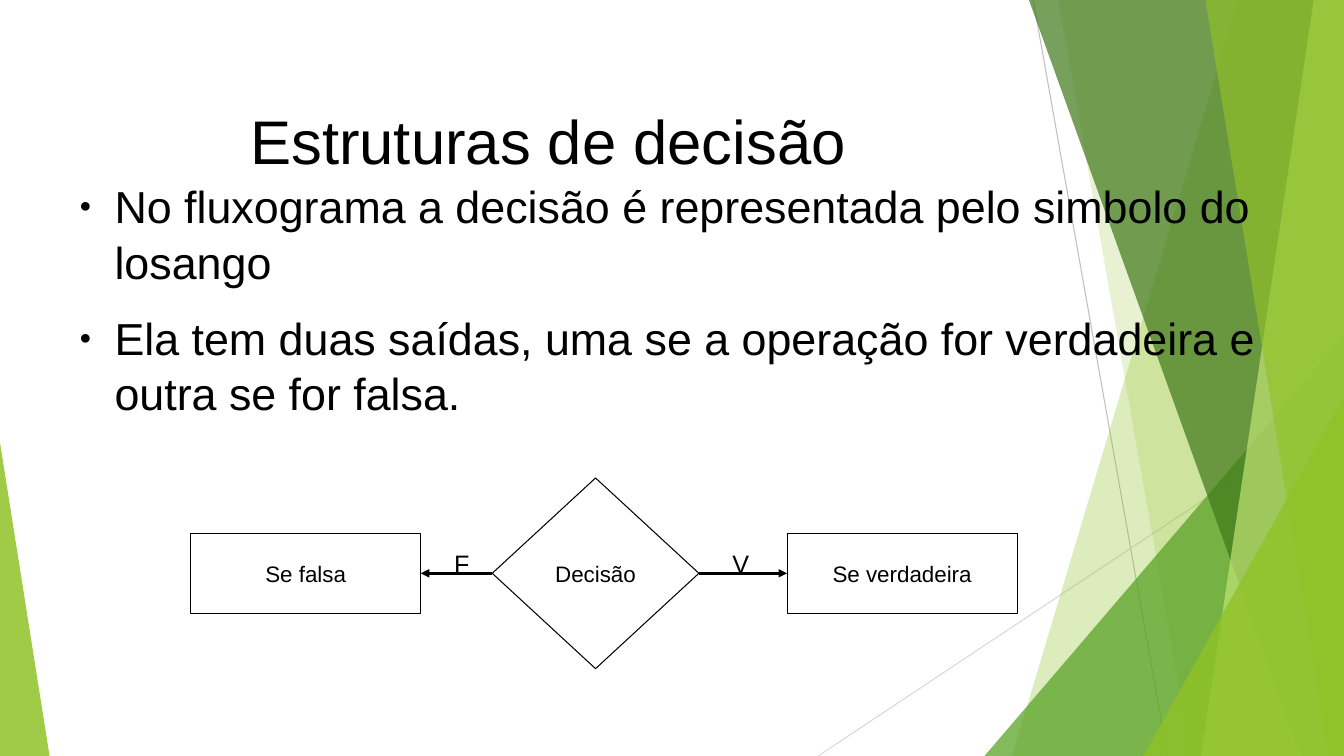
from lxml import etree
from pptx import Presentation
from pptx.dml.color import RGBColor
from pptx.enum.shapes import MSO_CONNECTOR, MSO_SHAPE
from pptx.enum.text import MSO_ANCHOR, MSO_AUTO_SIZE, PP_ALIGN
from pptx.oxml.ns import qn
from pptx.util import Emu, Inches, Pt

STRAIGHT = MSO_CONNECTOR.STRAIGHT
DECISION, PROCESS = MSO_SHAPE.FLOWCHART_DECISION, MSO_SHAPE.FLOWCHART_PROCESS
TOP, MIDDLE = MSO_ANCHOR.TOP, MSO_ANCHOR.MIDDLE
LEFT, CENTER = PP_ALIGN.LEFT, PP_ALIGN.CENTER
NO_FIT = MSO_AUTO_SIZE.NONE

BLACK = RGBColor(0x00, 0x00, 0x00)
WHITE = RGBColor(0xFF, 0xFF, 0xFF)
GRAY = RGBColor(0xBF, 0xBF, 0xBF)
LIGHT_GRAY = RGBColor(0xD9, 0xD9, 0xD9)
LIME = RGBColor(0x90, 0xC2, 0x26)
GREEN = RGBColor(0x54, 0xA0, 0x21)
DARK_GREEN = RGBColor(0x3F, 0x78, 0x19)
PALE_GREEN = RGBColor(0xC0, 0xE4, 0x74)

COLS, ROWS = 16, 9
LEFT_SITE, RIGHT_SITE = 1, 3


class FlowSlide:
    """Draws one slide on a 16 by 9 grid in a single style."""

    font = "Arial"

    def __init__(self, prs):
        self.cell = prs.slide_width / COLS
        self.shapes = prs.slides.add_slide(prs.slide_layouts[6]).shapes

    def grid(self, *lengths):
        return [Emu(round(n * self.cell)) for n in lengths]

    def fill_text(self, s, lines, size, align=CENTER, anchor=MIDDLE, wrap=True, inset=None, **para):
        tf = s.text_frame
        frame = {"word_wrap": wrap, "auto_size": NO_FIT, "vertical_anchor": anchor}
        if inset is not None:
            for side in ("left", "top", "right", "bottom"):
                frame["margin_" + side] = inset
        for name, value in frame.items():
            setattr(tf, name, value)
        for i, line in enumerate(lines):
            p = tf.add_paragraph() if i else tf.paragraphs[0]
            for name, value in {"alignment": align, **para}.items():
                setattr(p, name, value)
            r = p.add_run()
            r.text = line
            for name, value in {"name": self.font, "size": Pt(size)}.items():
                setattr(r.font, name, value)
            r.font.color.rgb = BLACK

    def text(self, box, lines, size, **style):
        s = self.shapes.add_textbox(*self.grid(*box))
        self.fill_text(s, lines, size, **style)
        return s

    def bullets(self, box, lines, size):
        s = self.text(box, lines, size, align=LEFT, anchor=TOP, inset=0,
                      space_before=Pt(14.2), line_spacing=1.04)
        for p in s.text_frame.paragraphs:
            pPr = p._p.get_or_add_pPr()
            pPr.set("marL", str(Inches(0.47)))
            pPr.set("indent", str(Inches(-0.35)))
            color = etree.SubElement(pPr, qn("a:buClr"))
            etree.SubElement(color, qn("a:srgbClr"), val=str(BLACK))
            etree.SubElement(pPr, qn("a:buSzPct"), val="45000")
            etree.SubElement(pPr, qn("a:buFont"), typeface=self.font)
            etree.SubElement(pPr, qn("a:buChar"), char="●")

    def node(self, kind, box, label):
        s = self.shapes.add_shape(kind, *self.grid(*box))
        s.shadow.inherit = False
        s.fill.solid()
        s.fill.fore_color.rgb = WHITE
        s.line.color.rgb = BLACK
        s.line.width = Pt(0)
        self.fill_text(s, [label], 16)
        return s

    def facet(self, points, color, opacity):
        start, *rest = [self.grid(*point) for point in points]
        builder = self.shapes.build_freeform(*start)
        builder.add_line_segments(rest, close=True)
        s = builder.convert_to_shape()
        s.shadow.inherit = False
        s.fill.solid()
        s.fill.fore_color.rgb = color
        s.line.fill.background()
        clr = s._element.spPr.find(qn("a:solidFill"))[0]
        etree.SubElement(clr, qn("a:alpha"), val=str(opacity * 1000))

    def line(self, ends, color, width):
        s = self.shapes.add_connector(STRAIGHT, *self.grid(*ends))
        s.line.color.rgb = color
        s.line.width = Pt(width)
        etree.SubElement(s._element.spPr, qn("a:effectLst"))
        return s

    def arrow(self, source, source_site, target, target_site):
        s = self.line((0, 0, 0, 0), BLACK, 0)
        s.begin_connect(source, source_site)
        s.end_connect(target, target_site)
        ln = s._element.spPr.find(qn("a:ln"))
        etree.SubElement(ln, qn("a:tailEnd"), type="triangle")


def band(top, bottom):
    return [(top, 0), (COLS, 0), (COLS, ROWS), (bottom, ROWS)]


def corner(left, top):
    return [(left, ROWS), (COLS, top), (COLS, ROWS)]


prs = Presentation()
prs.slide_width, prs.slide_height = Emu(12192000), Emu(6858000)
slide = FlowSlide(prs)

slide.line((12.3, 0, 13.9, ROWS), GRAY, 0.75)
slide.line((COLS, 4.84, 9.74, ROWS), LIGHT_GRAY, 0.75)
for points, color, opacity in (
    (band(14.74, 12.05), LIME, 30),
    (band(12.6, 14.18), LIME, 20),
    (corner(11.72, 4), GREEN, 72),
    (band(12.25, 15.49), DARK_GREEN, 70),
    (band(15.64, 14.3), PALE_GREEN, 70),
    (band(14.35, 15.82), LIME, 65),
    (corner(13.61, 4.72), LIME, 80),
    ([(0, ROWS), (0, 5.27), (0.59, ROWS)], LIME, 85),
):
    slide.facet(points, color, opacity)

slide.text((0.89, 0.8, 11.28, 1.73), ["Estruturas de decisão"], 44, inset=0)
slide.bullets((0.8, 2.1, 14.4, 5.22), [
    "No fluxograma a decisão é representada pelo simbolo do losango",
    "Ela tem duas saídas, uma se a operação for verdadeira e outra se for falsa.",
], 32)

decision = slide.node(DECISION, (5.86, 5.69, 2.46, 2.27), "Decisão")
if_false, if_true = [
    slide.node(PROCESS, (left, 6.35, 2.74, 0.95), label)
    for left, label in ((2.27, "Se falsa"), (9.37, "Se verdadeira"))
]
slide.arrow(decision, RIGHT_SITE, if_true, LEFT_SITE)
slide.arrow(decision, LEFT_SITE, if_false, RIGHT_SITE)
for left, label in ((8.6, "V"), (5.29, "F")):
    slide.text((left, 6.47, 0.43, 0.46), [label], 18, align=LEFT, anchor=TOP, wrap=False)

prs.save("out.pptx")
